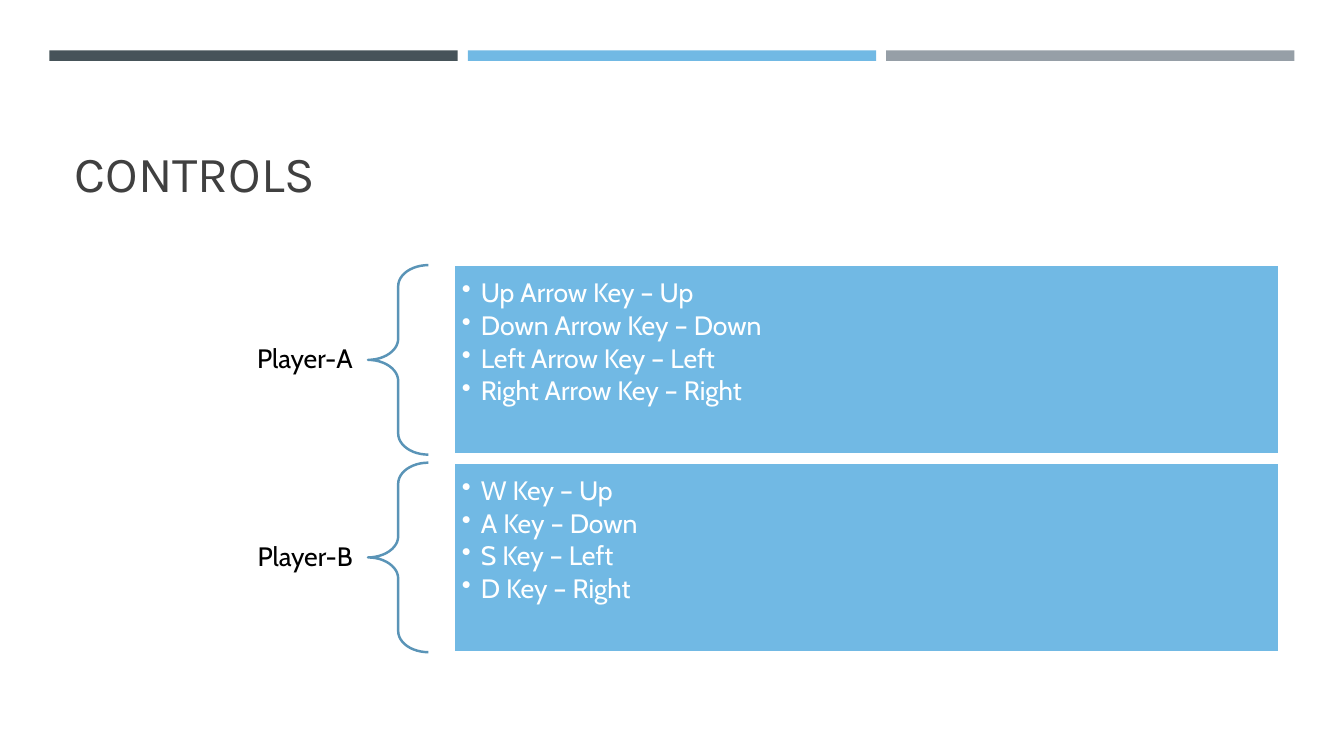
import dataclasses

import pptx
import pptx.dml.color
import pptx.enum.shapes
import pptx.enum.text
import pptx.oxml
import pptx.oxml.ns
import pptx.util

SHAPES = pptx.enum.shapes.MSO_SHAPE
ANCHOR = pptx.enum.text.MSO_ANCHOR
ALIGN = pptx.enum.text.PP_ALIGN


@dataclasses.dataclass(frozen=True)
class Theme:
    dark: str = "465359"
    blue: str = "71B9E4"
    gray: str = "969FA7"
    brace: str = "5A94B7"
    title: str = "404040"
    black: str = "000000"
    white: str = "FFFFFF"
    heading_font: str = "Karla"
    body_font: str = "Cabin"
    title_size: int = 36
    body_size: int = 19
    line_width: float = 1.75


THEME = Theme()
SLIDE_WIDTH = pptx.util.Inches(13.33)
SLIDE_HEIGHT = pptx.util.Inches(7.5)

# Positions and sizes are percentages of the slide.
BAR_LEFT, BAR_TOP, BAR_WIDTH, BAR_HEIGHT, BAR_STEP = 3.68, 6.67, 30.38, 1.4, 31.13
LABEL_LEFT, LABEL_WIDTH = 4.8, 22.58
BRACE_LEFT, BRACE_WIDTH = 27.38, 4.5
PANEL_LEFT, PANEL_WIDTH = 33.76, 61.44
ROW_TOP, ROW_HEIGHT, ROW_STEP = 35.07, 25.07, 26.13

PLAYERS = [
    ("Player-A", ["Up Arrow Key – Up", "Down Arrow Key – Down",
                  "Left Arrow Key – Left", "Right Arrow Key – Right"]),
    ("Player-B", ["W Key – Up", "A Key – Down", "S Key – Left", "D Key – Right"]),
]


def area(left, top, width, height):
    return (int(SLIDE_WIDTH * left / 100), int(SLIDE_HEIGHT * top / 100),
            int(SLIDE_WIDTH * width / 100), int(SLIDE_HEIGHT * height / 100))


def color(value):
    return pptx.dml.color.RGBColor.from_string(value)


def style_font(paragraph, name, size, value):
    paragraph.font.name = name
    paragraph.font.size = pptx.util.Pt(size)
    paragraph.font.color.rgb = color(value)


def set_frame(frame, anchor, left, top, right, bottom):
    frame.word_wrap = True
    frame.auto_size = pptx.enum.text.MSO_AUTO_SIZE.NONE
    frame.vertical_anchor = anchor
    frame.margin_left = pptx.util.Inches(left)
    frame.margin_top = pptx.util.Inches(top)
    frame.margin_right = pptx.util.Inches(right)
    frame.margin_bottom = pptx.util.Inches(bottom)


def add_preset(slide, kind, box, fill=None, line=None):
    shape = slide.shapes.add_shape(kind, *box)
    shape.shadow.inherit = False
    if fill:
        shape.fill.solid()
        shape.fill.fore_color.rgb = color(fill)
    else:
        shape.fill.background()
    if line:
        shape.line.color.rgb = color(line)
        shape.line.width = pptx.util.Pt(THEME.line_width)
    else:
        shape.line.fill.background()
    return shape


def set_title(slide, text):
    title = slide.shapes.title
    title.left, title.top, title.width, title.height = area(4.8, 10.13, 90.47, 17.33)
    set_frame(title.text_frame, ANCHOR.BOTTOM, 0.1, 0.05, 0.1, 0.05)
    title.text_frame.text = text
    paragraph = title.text_frame.paragraphs[0]
    paragraph.alignment = ALIGN.LEFT
    style_font(paragraph, THEME.heading_font, THEME.title_size, THEME.title)


def add_label(slide, text, top):
    label = slide.shapes.add_textbox(*area(LABEL_LEFT, top, LABEL_WIDTH, ROW_HEIGHT))
    set_frame(label.text_frame, ANCHOR.MIDDLE, 0.15, 0.05, 0.15, 0.05)
    label.text_frame.text = text
    paragraph = label.text_frame.paragraphs[0]
    paragraph.alignment = ALIGN.RIGHT
    paragraph.line_spacing = 0.9
    style_font(paragraph, THEME.body_font, THEME.body_size, THEME.black)


def add_bullet(paragraph):
    properties = paragraph._p.get_or_add_pPr()
    indent = pptx.util.Inches(0.19)
    properties.set("marL", str(indent))
    properties.set("indent", str(-indent))
    bullet = pptx.oxml.parse_xml(
        f'<a:buChar {pptx.oxml.ns.nsdecls("a")} char="•"/>')
    properties.append(bullet)


def add_panel(slide, keys, top):
    box = area(PANEL_LEFT, top, PANEL_WIDTH, ROW_HEIGHT)
    panel = add_preset(slide, SHAPES.RECTANGLE, box, THEME.blue, THEME.white)
    frame = panel.text_frame
    set_frame(frame, ANCHOR.MIDDLE, 0.08, 0.08, 0.08, 0.41)
    frame.text = "\n".join(keys)
    for paragraph in frame.paragraphs:
        paragraph.alignment = ALIGN.LEFT
        paragraph.line_spacing = 0.9
        paragraph.space_after = pptx.util.Pt(THEME.body_size * 0.15)
        style_font(paragraph, THEME.body_font, THEME.body_size, THEME.white)
        add_bullet(paragraph)


def add_player(slide, name, keys, top):
    add_label(slide, name, top)
    box = area(BRACE_LEFT, top, BRACE_WIDTH, ROW_HEIGHT)
    brace = add_preset(slide, SHAPES.LEFT_BRACE, box, line=THEME.brace)
    brace.adjustments[0] = 0.35
    add_panel(slide, keys, top)


def main():
    presentation = pptx.Presentation()
    presentation.slide_width = SLIDE_WIDTH
    presentation.slide_height = SLIDE_HEIGHT
    slide = presentation.slides.add_slide(presentation.slide_layouts[5])
    for index, fill in enumerate((THEME.dark, THEME.blue, THEME.gray)):
        box = area(BAR_LEFT + index * BAR_STEP, BAR_TOP, BAR_WIDTH, BAR_HEIGHT)
        add_preset(slide, SHAPES.RECTANGLE, box, fill)
    set_title(slide, "CONTROLS")
    for index, (name, keys) in enumerate(PLAYERS):
        add_player(slide, name, keys, ROW_TOP + index * ROW_STEP)
    presentation.save("out.pptx")


if __name__ == "__main__":
    main()
